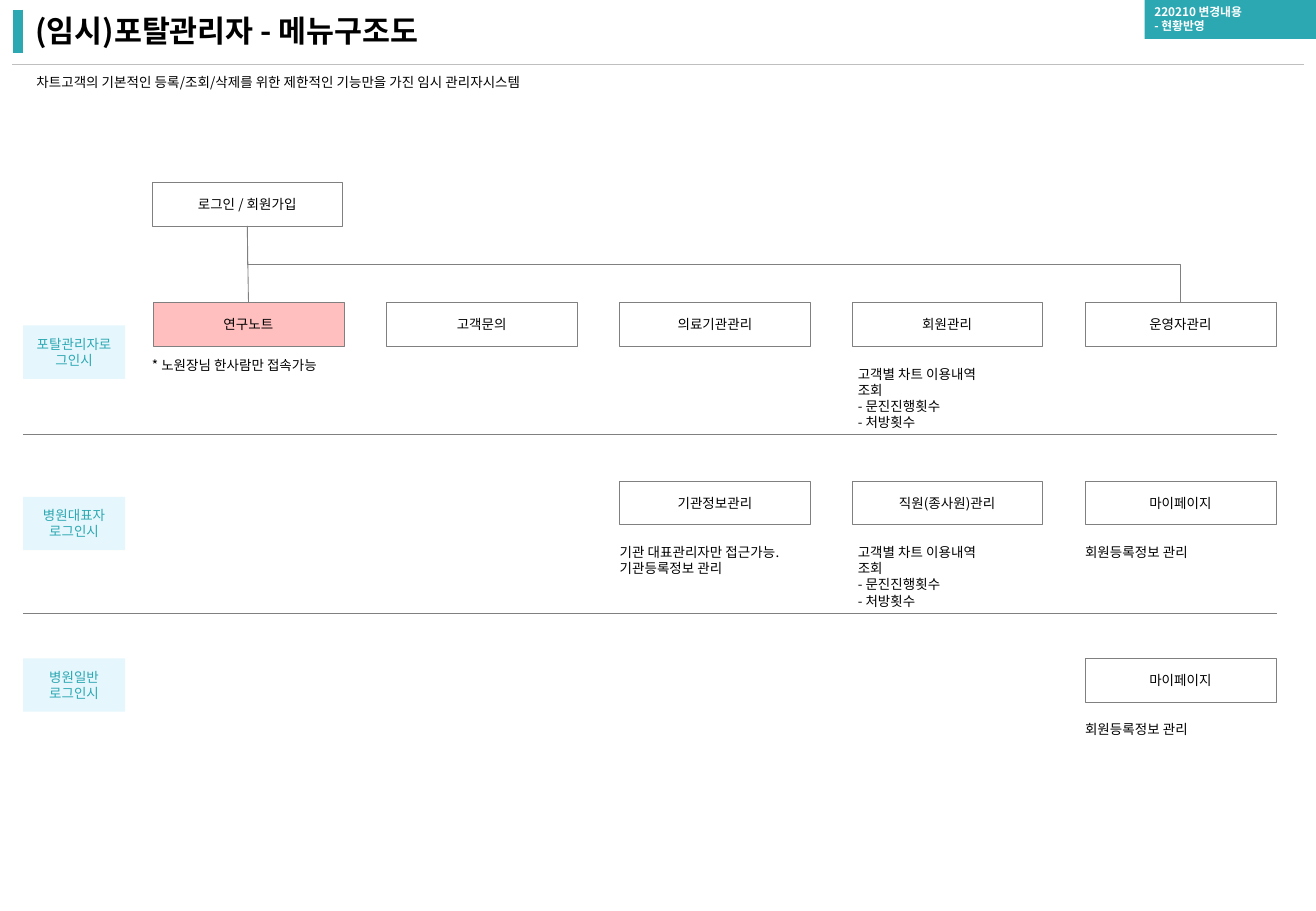
from lxml import etree
from pptx import Presentation
from pptx.dml.color import RGBColor
from pptx.enum.shapes import MSO_CONNECTOR, MSO_SHAPE
from pptx.enum.text import MSO_ANCHOR, MSO_AUTO_SIZE, PP_ALIGN
from pptx.oxml.ns import qn
from pptx.util import Pt

PX = 9144  # 100 px to the inch
FONT = "Noto Sans CJK KR"
TEAL, GRAY, BLACK, WHITE = "2CA8B2", "808080", "000000", "FFFFFF"
PINK, SKY, RULE = "FFBFBF", "00B0F0", "BFBFBF"
LEFT, CENTER = PP_ALIGN.LEFT, PP_ALIGN.CENTER
TOP, MIDDLE = MSO_ANCHOR.TOP, MSO_ANCHOR.MIDDLE
STRAIGHT, ELBOW = MSO_CONNECTOR.STRAIGHT, MSO_CONNECTOR.ELBOW
RECTANGLE, NO_FIT = MSO_SHAPE.RECTANGLE, MSO_AUTO_SIZE.NONE
SIDE_TOP, SIDE_BOTTOM = 0, 2

BOX_WIDTH, BOX_HEIGHT = 157, 36
COLUMNS = [126 + round(191.75 * index) for index in range(5)]
ROWS = [249, 396, 542]
NOTE_OFFSET = 52
USAGE_NOTE = "고객별 차트 이용내역 조회\n- 문진진행횟수\n- 처방횟수"
MY_PAGE_NOTE = "회원등록정보 관리"

# row, column, menu name
MENUS = [
    (0, 0, "연구노트"), (0, 1, "고객문의"), (0, 2, "의료기관관리"),
    (0, 3, "회원관리"), (0, 4, "운영자관리"),
    (1, 2, "기관정보관리"), (1, 3, "직원(종사원)관리"), (1, 4, "마이페이지"),
    (2, 4, "마이페이지"),
]
# row, column, shift to the right, width, note
NOTES = [
    (0, 3, 5, 117, USAGE_NOTE),
    (1, 2, 0, 146, "기관 대표관리자만 접근가능.\n기관등록정보 관리"),
    (1, 3, 5, 117, USAGE_NOTE),
    (1, 4, 0, 93, MY_PAGE_NOTE),
    (2, 4, 0, 93, MY_PAGE_NOTE),
]
# top, label
ROLES = [(268, "포탈관리자로그인시"), (409, "병원대표자\n로그인시"), (542, "병원일반\n로그인시")]


def px(*lengths):
    return [length * PX for length in lengths]


def color(value):
    return RGBColor.from_string(value)


def write(shape, text, size=8, ink=BLACK, bold=False, align=LEFT, anchor=TOP,
          insets=(0, 0), line_spacing=None):
    frame = shape.text_frame
    frame.word_wrap = True
    frame.auto_size = NO_FIT
    frame.vertical_anchor = anchor
    frame.margin_left = frame.margin_right = insets[0] * PX
    frame.margin_top = frame.margin_bottom = insets[1] * PX
    frame.text = text
    for paragraph in frame.paragraphs:
        paragraph.alignment = align
        paragraph.line_spacing = line_spacing
        for run in paragraph.runs:
            font = run.font
            font.size, font.bold, font.name = Pt(size), bold, FONT
            font.color.rgb = color(ink)
            east_asian = etree.SubElement(run._r.get_or_add_rPr(), qn("a:ea"))
            east_asian.set("typeface", FONT)


def add_box(slide, bounds, text, fill=WHITE, line=None, opacity=100, **text_format):
    shape = slide.shapes.add_shape(RECTANGLE, *px(*bounds))
    shape.shadow.inherit = False
    shape.fill.solid()
    shape.fill.fore_color.rgb = color(fill)
    if opacity < 100:
        fill_color = shape._element.spPr.find(qn("a:solidFill"))[0]
        etree.SubElement(fill_color, qn("a:alpha")).set("val", str(opacity * 1000))
    if line:
        shape.line.color.rgb = color(line)
        shape.line.width = Pt(0.25)
    else:
        shape.line.fill.background()
    write(shape, text, **text_format)
    return shape


def add_menu(slide, left, top, text, fill=WHITE):
    return add_box(slide, (left, top, BOX_WIDTH, BOX_HEIGHT), text, fill=fill,
                   line=GRAY, align=CENTER, anchor=MIDDLE, insets=(10, 5))


def add_note(slide, bounds, text):
    write(slide.shapes.add_textbox(*px(*bounds)), text)


def add_line(slide, start, end, ink=GRAY, width=0.5, kind=STRAIGHT):
    connector = slide.shapes.add_connector(kind, *px(*start, *end))
    connector.line.color.rgb = color(ink)
    connector.line.width = Pt(width)
    etree.SubElement(connector._element.spPr, qn("a:effectLst"))
    return connector


def link_down(slide, parent, child, kind=STRAIGHT):
    connector = add_line(slide, (0, 0), (0, 0), kind=kind)
    connector.begin_connect(parent, SIDE_BOTTOM)
    connector.end_connect(child, SIDE_TOP)
    if kind == ELBOW:
        # Turn the elbow so that it leaves downwards
        left, top = connector.left, connector.top
        across, down = connector.width, connector.height
        connector.left = left + (across - down) // 2
        connector.top = top + (down - across) // 2
        connector.width, connector.height = down, across
        transform = connector._element.spPr.find(qn("a:xfrm"))
        transform.set("rot", "16200000")
        transform.set("flipH", "1")


def add_header(slide):
    add_line(slide, (15, 8), (15, 44), ink=TEAL, width=6)
    add_line(slide, (10, 53), (1073, 53), ink=RULE)
    title = slide.shapes.title
    title.left, title.top, title.width, title.height = px(19, 9, 934, 35)
    write(title, "(임시)포탈관리자 - 메뉴구조도", size=18, bold=True,
          anchor=MIDDLE, insets=(10, 5), line_spacing=0.9)
    add_note(slide, (30, 61, 1043, 13),
             "차트고객의 기본적인 등록/조회/삭제를 위한 제한적인 기능만을 가진 임시 관리자시스템")
    add_box(slide, (942, 0, 142, 32), "220210 변경내용\n- 현황반영", fill=TEAL,
            size=7, ink=WHITE, bold=True, insets=(8, 4))


def main():
    presentation = Presentation()
    presentation.slide_width, presentation.slide_height = px(1083, 750)
    slide = presentation.slides.add_slide(presentation.slide_layouts[5])
    add_header(slide)

    # Menu boxes and their notes
    login = add_menu(slide, 125, 150, "로그인 / 회원가입")
    menus = {}
    for row, column, name in MENUS:
        fill = PINK if (row, column) == (0, 0) else WHITE
        menus[row, column] = add_menu(slide, COLUMNS[column], ROWS[row], name, fill)
    add_note(slide, (125, 294, 151, 13), "* 노원장님 한사람만 접속가능")
    for row, column, shift, width, text in NOTES:
        height = 13 * (text.count("\n") + 1)
        add_note(slide, (COLUMNS[column] + shift, ROWS[row] + NOTE_OFFSET, width, height), text)

    # Role labels and the rules between roles
    for top, text in ROLES:
        add_box(slide, (19, top, 84, 44), text, fill=SKY, opacity=10,
                ink=TEAL, align=CENTER, anchor=MIDDLE, insets=(10, 5))
    for y in (358, 505):
        add_line(slide, (19, y), (1051, y))

    # Links from the login box
    link_down(slide, login, menus[0, 0])
    link_down(slide, login, menus[0, 4], kind=ELBOW)

    presentation.save("out.pptx")


if __name__ == "__main__":
    main()
